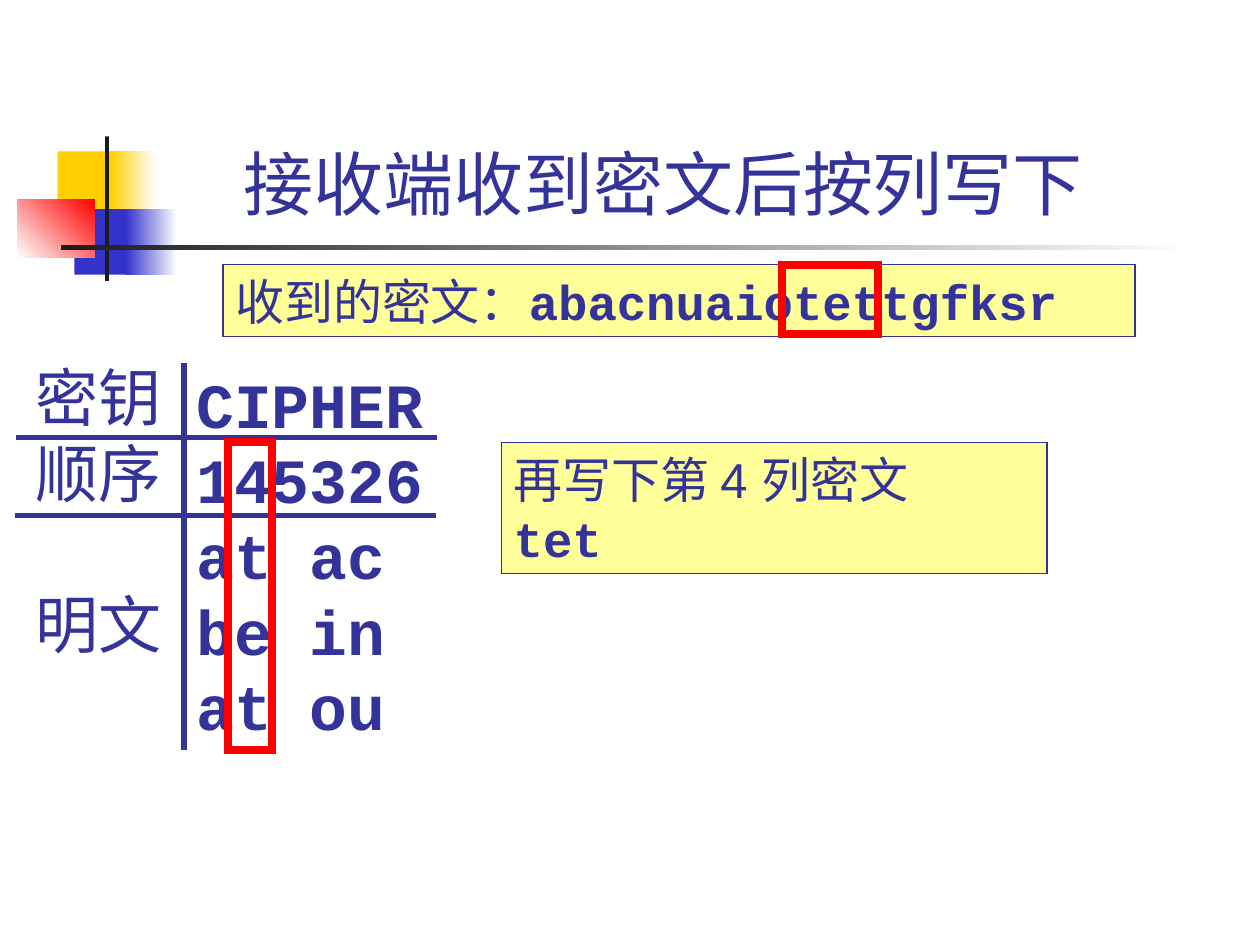
from lxml.etree import SubElement
from pptx import Presentation
from pptx.dml.color import RGBColor
from pptx.enum.shapes import MSO_CONNECTOR, MSO_SHAPE
from pptx.enum.text import MSO_ANCHOR, PP_ALIGN
from pptx.oxml.ns import qn
from pptx.util import Pt

INK = RGBColor(0x33, 0x33, 0x99)
BLUE = RGBColor(0x33, 0x33, 0xCC)
GOLD = RGBColor(0xFF, 0xCF, 0x01)
RED = RGBColor(0xFF, 0x00, 0x00)
BLACK = RGBColor(0x1C, 0x1C, 0x1C)
WHITE = RGBColor(0xFF, 0xFF, 0xFF)
NOTE = RGBColor(0xFF, 0xFF, 0x99)
SANS, LABEL, MONO = "Arial", "Cabin", "Courier New"


class SlideBuilder:
    """Holds the slide and the style shared by its elements."""

    def __init__(self, slide):
        self.slide = slide
        self.color = INK

    def place(self, shape, box):
        shape.left, shape.top, shape.width, shape.height = map(Pt, box)

    def add_run(self, paragraph, text, size, font, bold=False):
        run = paragraph.add_run()
        run.text = text
        run.font.size = Pt(size)
        run.font.name = font
        run.font.bold = bold
        run.font.color.rgb = self.color

    def format_frame(self, frame, right=7.2):
        frame.word_wrap = True
        frame.vertical_anchor = MSO_ANCHOR.TOP
        frame.margin_left, frame.margin_right = Pt(7.2), Pt(right)
        frame.margin_top = frame.margin_bottom = Pt(3.6)

    def title(self, text, box):
        shape = self.slide.shapes.title
        self.place(shape, box)
        shape.text_frame.vertical_anchor = MSO_ANCHOR.BOTTOM
        paragraph = shape.text_frame.paragraphs[0]
        paragraph.alignment = PP_ALIGN.CENTER
        self.add_run(paragraph, text, 40, SANS)

    def rectangle(self, box, fill=None, line=None, width=0.75):
        shape = self.slide.shapes.add_shape(MSO_SHAPE.RECTANGLE, *map(Pt, box))
        shape.shadow.inherit = False
        if fill is None:
            shape.fill.background()
        else:
            shape.fill.solid()
            shape.fill.fore_color.rgb = fill
        if line is None:
            shape.line.fill.background()
        else:
            shape.line.color.rgb = line
            shape.line.width = Pt(width)
            # Square corners
            SubElement(shape._element.spPr.find(qn("a:ln")), qn("a:miter"), lim="800000")
        return shape

    def gradient(self, box, start, end, angle=0):
        fill = self.rectangle(box).fill
        fill.gradient()
        fill.gradient_angle = angle
        for stop, color in zip(fill.gradient_stops, (start, end)):
            stop.color.rgb = color

    def column(self, box, rows, font, bold=False):
        """Rows of large text; each row is (text, space before)."""
        frame = self.slide.shapes.add_textbox(*map(Pt, box)).text_frame
        self.format_frame(frame, right=0)
        for index, (text, space) in enumerate(rows):
            paragraph = frame.add_paragraph() if index else frame.paragraphs[0]
            paragraph.line_spacing = Pt(43.2)
            paragraph.space_before = Pt(space)
            self.add_run(paragraph, text, 36, font, bold)

    def note(self, box, text, cipher, new_line=False):
        frame = self.rectangle(box, NOTE, self.color).text_frame
        self.format_frame(frame)
        paragraph = frame.paragraphs[0]
        paragraph.alignment = PP_ALIGN.LEFT
        paragraph.line_spacing = Pt(34)
        self.add_run(paragraph, text, 28, SANS)
        if new_line:
            paragraph.add_line_break()
        self.add_run(paragraph, cipher, 28, MONO, True)

    def rule(self, *ends):
        line = self.slide.shapes.add_connector(MSO_CONNECTOR.STRAIGHT, *map(Pt, ends))
        line.line.color.rgb = self.color
        line.line.width = Pt(3)
        SubElement(line._element.spPr, qn("a:effectLst"))


def main():
    presentation = Presentation()
    presentation.slide_width, presentation.slide_height = Pt(720), Pt(540)
    slide = presentation.slides.add_slide(presentation.slide_layouts[5])
    builder = SlideBuilder(slide)

    # Corner ornament
    builder.rectangle((33, 86.5, 34.5, 37.5), GOLD)
    builder.gradient((63, 86.5, 26, 37.5), GOLD, WHITE)
    builder.rectangle((42.5, 119.5, 33, 37.5), BLUE)
    builder.gradient((72, 119.5, 29, 37.5), BLUE, WHITE)
    builder.gradient((10, 113.8, 44, 33.2), WHITE, RED, 45)
    builder.rectangle((60, 78, 2.3, 82.5), BLACK)
    builder.gradient((34.7, 140.2, 648, 2.5), BLACK, WHITE)

    # Title
    builder.title("接收端收到密文后按列写下", (54, 16.5, 650, 115.2))

    # Key, order and the plaintext received so far
    words = ("CIPHER", "145326", "at ac", "be in", "at ou")
    builder.column((105.1, 205.2, 144, 223.2), [(word, 0) for word in words], MONO, True)
    builder.column((13, 201.6, 86.4, 180),
                   [("密钥", 0), ("顺序", 0), ("明文", 43.2)], LABEL)

    # Ciphertext notes
    builder.note((286.5, 252.7, 311.8, 74.9), "再写下第 4 列密文", "tet", True)
    builder.note((127.4, 151.2, 521.3, 41), "收到的密文：", "abacnuaiotettgfksr")

    # Table rules
    builder.rule(9.4, 249.8, 249.8, 249.8)
    builder.rule(8.6, 294.5, 249.1, 294.5)
    builder.rule(105.1, 207.4, 105.1, 428.4)

    # Red frames around the current column and its ciphertext
    for box in ((130.3, 252.7, 25.2, 175.7), (447.1, 151.2, 54.7, 39.6)):
        builder.rectangle(box, line=RED, width=4.5)

    presentation.save("out.pptx")


if __name__ == "__main__":
    main()
